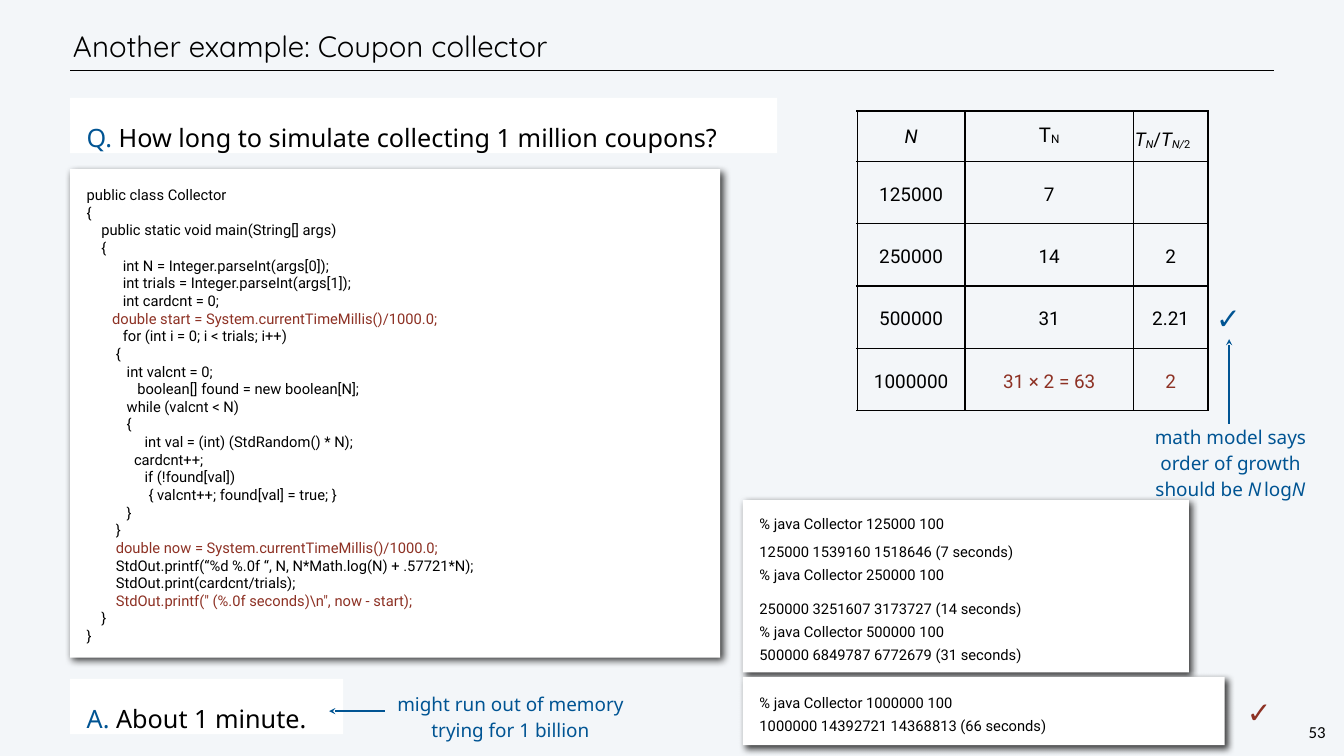
from lxml import etree
from pptx import Presentation
from pptx import util as u
from pptx.dml.color import RGBColor
from pptx.enum import shapes, text
from pptx.oxml.ns import qn

Cm, Pt = u.Cm, u.Pt
BLACK, WHITE, BLUE, RED, PAPER = "000000", "FFFFFF", "005493", "8D3124", "F3F6F9"
LEFT = 3.53
CENTER = text.PP_ALIGN.CENTER
MIDDLE = text.MSO_ANCHOR.MIDDLE

CODE = """public class Collector
{
    public static void main(String[] args)
    {
     \tint N = Integer.parseInt(args[0]);
\tint trials = Integer.parseInt(args[1]);
\tint cardcnt = 0;
       double start = System.currentTimeMillis()/1000.0;
\tfor (int i = 0; i < trials; i++)
        {
           int valcnt = 0;
\t    boolean[] found = new boolean[N];
           while (valcnt < N)
           {
\t      int val = (int) (StdRandom() * N);
             cardcnt++;
\t      if (!found[val])
                 { valcnt++; found[val] = true; }
           }
        }
        double now = System.currentTimeMillis()/1000.0;
        StdOut.printf(“%d %.0f “, N, N*Math.log(N) + .57721*N);
        StdOut.print(cardcnt/trials);
        StdOut.printf(" (%.0f seconds)\\n", now - start);
    }
}"""

TIMINGS = [
    ("125000", "7", ""),
    ("250000", "14", "2"),
    ("500000", "31", "2.21"),
    ("1000000", "31 × 2 = 63", "2"),
]


def rgb(value):
    return RGBColor.from_string(value)


def sub(parent, tag, **attributes):
    return etree.SubElement(parent, qn(tag), attributes)


def add_run(paragraph, words, size, font, color, italic=False, baseline=None, spacing=None):
    run = paragraph.add_run()
    run.text = words
    run.font.size = Pt(size)
    run.font.name = font
    run.font.italic = italic
    run.font.color.rgb = rgb(color)
    for name, value in (("baseline", baseline), ("spc", spacing)):
        if value is not None:
            run.font._element.set(name, str(value))


def write(frame, lines, size=27, font="Noto Sans", color=BLACK, align=None,
          leading=None, before=0, tab=None):
    """Fill a frame; a line is a string or a list of (words, run format) pairs."""
    gaps = before if isinstance(before, tuple) else (before,) * (len(lines) - 1)
    for index, line in enumerate(lines):
        paragraph = frame.add_paragraph() if index else frame.paragraphs[0]
        paragraph.alignment = align
        if leading:
            paragraph.line_spacing = Pt(leading)
        if index and gaps[index - 1]:
            paragraph.space_before = Pt(gaps[index - 1])
        if tab:
            stops = sub(paragraph._p.get_or_add_pPr(), "a:tabLst")
            sub(stops, "a:tab", pos=str(Cm(tab)), algn="l")
        runs = [(line, {})] if isinstance(line, str) else line
        for words, style in runs:
            add_run(paragraph, words, **{"size": size, "font": font, "color": color, **style})


def set_frame(frame, inset, anchor=text.MSO_ANCHOR.TOP, wrap=True):
    frame.margin_left = frame.margin_right = Cm(inset)
    frame.margin_top = frame.margin_bottom = Cm(inset)
    frame.vertical_anchor = anchor
    frame.word_wrap = wrap


def add_label(slide, box, lines, inset=0.15, anchor=text.MSO_ANCHOR.TOP, wrap=False, **style):
    label = slide.shapes.add_textbox(*map(Cm, box))
    set_frame(label.text_frame, inset, anchor, wrap)
    write(label.text_frame, lines, **style)


def add_panel(slide, box, lines, shadow=False, anchor=text.MSO_ANCHOR.TOP, **style):
    panel = slide.shapes.add_shape(shapes.MSO_SHAPE.RECTANGLE, *map(Cm, box))
    panel.fill.solid()
    panel.fill.fore_color.rgb = rgb(WHITE)
    panel.line.fill.background()
    panel.shadow.inherit = False
    if shadow:
        effects = panel._element.spPr.find(qn("a:effectLst"))
        outer = sub(effects, "a:outerShdw", blurRad=str(Pt(10)), dist=str(Pt(6)),
                    dir="2700000", algn="tl", rotWithShape="0")
        sub(sub(outer, "a:srgbClr", val=BLACK), "a:alpha", val="75000")
    set_frame(panel.text_frame, 0.84, anchor)
    write(panel.text_frame, lines, align=text.PP_ALIGN.LEFT, **style)


def add_line(slide, ends, color, width, arrow=False):
    """Draw a straight line; an arrowhead sits at its start."""
    line = slide.shapes.add_connector(shapes.MSO_CONNECTOR.STRAIGHT, *map(Cm, ends))
    line.line.color.rgb = rgb(color)
    line.line.width = Pt(width)
    if arrow:
        sub(line.line._get_or_add_ln(), "a:headEnd", type="stealth")
    sub(line._element.spPr, "a:effectLst")


def add_borders(cell):
    properties = cell._tc.get_or_add_tcPr()
    for index, side in enumerate(("a:lnL", "a:lnR", "a:lnT", "a:lnB")):
        border = etree.Element(qn(side), w=str(Pt(2)))
        sub(sub(border, "a:solidFill"), "a:srgbClr", val=BLACK)
        properties.insert(index, border)


def add_timing_table(slide):
    italic, low = {"italic": True}, {"baseline": -6000}
    ratio = [("T", italic), ("N", {**italic, **low}), ("/", {}), ("T", italic),
             ("N/", {**italic, **low}), ("2", low)]
    header = ([("N", italic)], [("T", {"size": 29}), ("N", {"size": 29, **low})], ratio)
    widths, heights = (5.44, 8.48, 3.76), (2.54,) + (3.14,) * 4
    table = slide.shapes.add_table(5, 3, Cm(43.2), Cm(5.59), Cm(sum(widths)),
                                   Cm(sum(heights))).table
    table.first_row = table.horz_banding = False
    for column, width in zip(table.columns, widths):
        column.width = Cm(width)
    for r, (row, height) in enumerate(zip(table.rows, heights)):
        row.height = Cm(height)
        for c, content in enumerate(([header] + TIMINGS)[r]):
            cell = table.cell(r, c)
            cell.fill.background()
            add_borders(cell)
            cell.vertical_anchor = MIDDLE
            cell.margin_left = cell.margin_right = Cm(0.08)
            cell.margin_top = cell.margin_bottom = Cm(0.08)
            if content:
                write(cell.text_frame, [content], font="Roboto",
                      color=RED if r == 4 and c else BLACK,
                      align=None if content is ratio else CENTER,
                      leading=44 if content is ratio else 38 if r else 33)


def main():
    deck = Presentation()
    deck.slide_width, deck.slide_height = Cm(67.74), Cm(38.1)
    slide = deck.slides.add_slide(deck.slide_layouts[6])
    slide.background.fill.solid()
    slide.background.fill.fore_color.rgb = rgb(PAPER)

    add_line(slide, (LEFT, 3.56, 64.21, 3.56), BLACK, 1)
    add_label(slide, (LEFT, 1.07, 57.45, 2.51), ["Another example: Coupon collector"],
              anchor=MIDDLE, wrap=True, size=42, font="Quicksand", leading=50)
    add_label(slide, (65.84, 36.3, 1.09, 1.19), ["53"], inset=0.1,
              size=24, font="Calibri", align=CENTER, leading=28)

    code = [[(line, {"color": RED if "start" in line or "now" in line else BLACK})]
            for line in CODE.split("\n")]
    add_panel(slide, (LEFT, 8.53, 32.77, 24.61), code, shadow=True,
              size=21, font="Roboto", tab=1.82)
    for top, width, letter, sentence in (
            (4.93, 35.64, "Q. ", "How long to simulate collecting 1 million coupons?"),
            (34.21, 13.77, "A. ", "About 1 minute.")):
        add_panel(slide, (LEFT, top, width, 2.79),
                  [[(letter, {"color": BLUE}), (sentence, {})]], size=36, leading=55)

    console = {"shadow": True, "anchor": MIDDLE, "size": 21, "font": "Roboto", "leading": 33}
    add_panel(slide, (37.44, 25.2, 22.48, 8.69),
              ["% java Collector 125000 100", "125000 1539160 1518646 (7 seconds)",
               "% java Collector 250000 100", "250000 3251607 3173727 (14 seconds)",
               "% java Collector 500000 100", "500000 6849787 6772679 (31 seconds)"],
              before=(7, 0, 15, 0, 0), **console)
    add_panel(slide, (37.44, 34.11, 24.28, 3.45),
              ["% java Collector 1000000 100", "1000000 14392721 14368813 (66 seconds)"],
              **console)
    add_timing_table(slide)

    note = {"color": BLUE, "align": CENTER, "leading": 35, "before": 2}
    variable = {"italic": True, "spacing": 400}
    add_label(slide, (57.67, 21.23, 8.69, 4.01),
              ["math model says", "order of growth",
               [("should be ", {}), ("N", variable), ("log", {}), ("N", variable)]], **note)
    add_label(slide, (19.44, 34.65, 12.57, 2.72),
              ["might run out of memory", "trying for 1 billion"], **note)
    add_line(slide, (61.95, 17.09, 61.95, 21.36), BLUE, 3, arrow=True)
    add_line(slide, (16.59, 35.84, 19.41, 35.84), BLUE, 3, arrow=True)
    for left, top, color in ((61.14, 14.99, BLUE), (62.69, 34.82, RED)):
        add_label(slide, (left, top, 1.45, 2.06), ["✓"], size=42, color=color,
                  align=CENTER, leading=50)

    deck.save("out.pptx")


if __name__ == "__main__":
    main()
